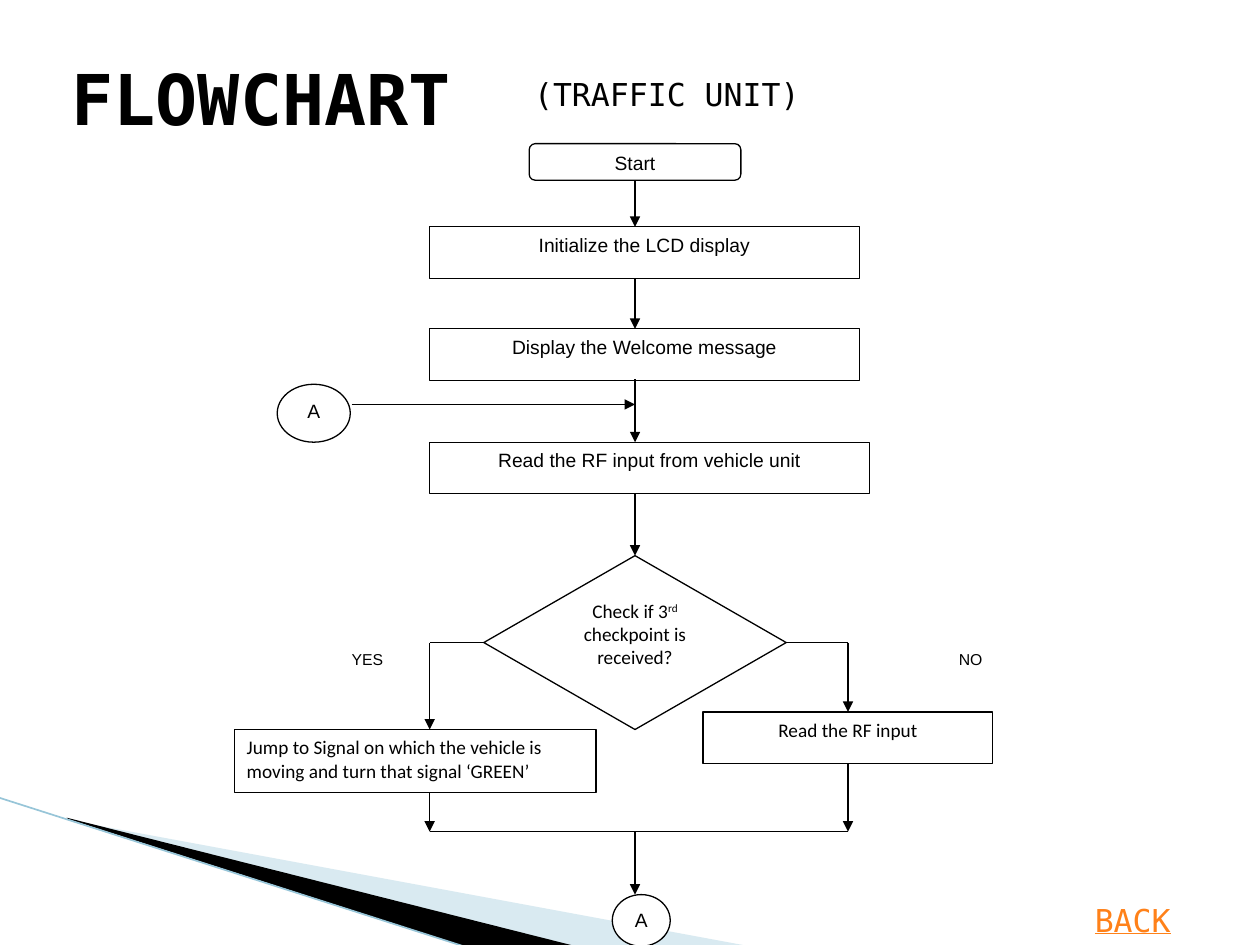
import pptx
import pptx.dml.color
import pptx.enum.shapes
import pptx.enum.text
import pptx.oxml
import pptx.oxml.ns
import pptx.util
from lxml import etree

Inches, Pt = pptx.util.Inches, pptx.util.Pt
SHAPE = pptx.enum.shapes.MSO_SHAPE
ALIGN = pptx.enum.text.PP_ALIGN
qn = pptx.oxml.ns.qn

COLORS = {"ink": "000000", "paper": "FFFFFF", "pale": "A0CBDC",
          "edge": "97C5D8", "link": "FF8119"}
MONO = "DejaVu Sans Mono"
SPINE, YES_X, NO_X = 5.04, 3.41, 6.73
BRANCH_Y, MERGE_Y = 5.1, 6.6

# Corner swoosh: points, colour, opacity in percent
SWOOSHES = [
    ([(0.55, 6.51), (5.95, 7.51), (4.56, 7.51), (0.55, 6.5)], "pale", 40),
    ([(0.53, 6.49), (4.57, 7.51), (3.72, 7.52), (0.54, 6.5)], "ink", 100),
]

# Name: preset, box (left, top, width, height), text, font, alignment
STEPS = {
    "start": (SHAPE.FLOWCHART_ALTERNATE_PROCESS, (4.2, 1.14, 1.68, 0.29),
              "Start", "Arial", ALIGN.CENTER),
    "init": (SHAPE.RECTANGLE, (3.41, 1.8, 3.41, 0.41),
             "Initialize the LCD display", "Arial", ALIGN.CENTER),
    "welcome": (SHAPE.RECTANGLE, (3.41, 2.61, 3.41, 0.41),
                "Display the Welcome message", "Arial", ALIGN.CENTER),
    "loop in": (SHAPE.FLOWCHART_CONNECTOR, (2.2, 3.05, 0.58, 0.46),
                "A", "Arial", ALIGN.CENTER),
    "read": (SHAPE.RECTANGLE, (3.41, 3.51, 3.49, 0.41),
             "Read the RF input from vehicle unit", "Arial", ALIGN.CENTER),
    "check": (SHAPE.DIAMOND, (3.84, 4.41, 2.4, 1.38),
              ("Check if 3", "rd", " checkpoint is received?"), "Calibri", ALIGN.CENTER),
    "jump": (SHAPE.RECTANGLE, (1.86, 5.79, 2.87, 0.5),
             "Jump to Signal on which the vehicle is moving and turn that signal ‘GREEN’",
             "Calibri", ALIGN.LEFT),
    "read again": (SHAPE.RECTANGLE, (5.58, 5.65, 2.3, 0.41),
                   "Read the RF input", "Calibri", ALIGN.CENTER),
    "loop out": (SHAPE.FLOWCHART_CONNECTOR, (4.86, 7.1, 0.46, 0.41),
                 "A", "Arial", ALIGN.CENTER),
}
BRANCH_LABELS = [("YES", 2.79), ("NO", 7.61)]

# From, to, arrowhead, joined start, joined end (step, side)
FLOWS = [
    ((SPINE, 1.43), (SPINE, 1.8), True, ("start", 2), None),
    ((SPINE, 2.21), (SPINE, 2.61), True, None, None),
    ((SPINE, 3.01), (SPINE, 3.51), True, None, None),
    ((2.79, 3.21), (SPINE, 3.21), True, None, None),
    ((SPINE, 3.92), (SPINE, 4.41), True, None, ("check", 0)),
    ((3.84, BRANCH_Y), (YES_X, BRANCH_Y), False, ("check", 1), None),
    ((YES_X, BRANCH_Y), (YES_X, 5.79), True, None, None),
    ((6.24, BRANCH_Y), (NO_X, BRANCH_Y), False, ("check", 3), None),
    ((NO_X, BRANCH_Y), (NO_X, 5.65), True, None, ("read again", 0)),
    ((YES_X, 6.29), (YES_X, MERGE_Y), True, None, None),
    ((NO_X, 6.06), (NO_X, MERGE_Y), True, ("read again", 2), None),
    ((YES_X, MERGE_Y), (NO_X, MERGE_Y), False, None, None),
    ((SPINE, MERGE_Y), (SPINE, 7.1), True, None, None),
]

# Text, box, size, bold, colour, underline
HEADINGS = [
    ("FLOWCHART", (0.47, 0.39, 3.91, 0.77), 40, True, "ink", False),
    ("(TRAFFIC UNIT)", (4.14, 0.55, 3.05, 0.4), 18, False, "ink", False),
    ("BACK", (8.59, 7.1, 1.41, 0.4), 18, False, "link", True),
]


def rgb(name):
    return pptx.dml.color.RGBColor.from_string(COLORS[name])


def inches(values):
    return [Inches(v) for v in values]


def set_font(p, name, size, color="ink"):
    p.font.name, p.font.size = name, Pt(size)
    p.font.color.rgb = rgb(color)


def add_line(slide, start, end, color="ink", width=0.75, arrow=False):
    line = slide.shapes.add_connector(
        pptx.enum.shapes.MSO_CONNECTOR.STRAIGHT, *inches(start + end))
    line.line.color.rgb = rgb(color)
    line.line.width = Pt(width)
    if arrow:
        etree.SubElement(line.line._get_or_add_ln(), qn("a:tailEnd"), type="triangle")
    etree.SubElement(line._element.spPr, qn("a:effectLst"))
    return line


def add_swoosh(slide, points, color, opacity):
    corners = [tuple(inches(pt)) for pt in points]
    builder = slide.shapes.build_freeform(*corners[0])
    builder.add_line_segments(corners[1:], close=True)
    s = builder.convert_to_shape()
    s.shadow.inherit = False
    s.line.fill.background()
    s.fill.solid()
    s.fill.fore_color.rgb = rgb(color)
    if opacity < 100:
        clr = s._element.spPr.find(qn("a:solidFill"))[0]
        etree.SubElement(clr, qn("a:alpha"), val=str(opacity * 1000))


def add_box(slide, preset, box, text, font, align, size=11, outline="ink", inset=True):
    """Add a filled shape; a tuple of texts has its second part raised."""
    s = slide.shapes.add_shape(preset, *inches(box))
    s.shadow.inherit = False
    s.fill.solid()
    s.fill.fore_color.rgb = rgb("paper")
    s.line.color.rgb = rgb(outline)
    s.line.width = Pt(0.75)
    tf = s.text_frame
    tf.word_wrap = True
    tf.vertical_anchor = pptx.enum.text.MSO_ANCHOR.TOP
    if not inset:
        tf.margin_left = tf.margin_top = tf.margin_right = tf.margin_bottom = 0
    p = tf.paragraphs[0]
    p.alignment, p.space_after = align, Pt(10)
    set_font(p, font, size)
    for i, part in enumerate((text,) if isinstance(text, str) else text):
        r = p.add_run()
        r.text = part
        if i == 1:
            r.font._element.set("baseline", "30000")
    return s


def add_heading(slide, text, box, size, bold, color, underline):
    tf = slide.shapes.add_textbox(*inches(box)).text_frame
    tf.word_wrap = True
    tf.auto_size = pptx.enum.text.MSO_AUTO_SIZE.SHAPE_TO_FIT_TEXT
    p = tf.paragraphs[0]
    p.text = text
    set_font(p, MONO, size, color)
    p.font.bold, p.font.underline = bold, underline


def main():
    prs = pptx.Presentation()
    prs.slide_width, prs.slide_height = inches((10, 7.5))
    slide = prs.slides.add_slide(prs.slide_layouts[6])

    for swoosh in SWOOSHES:
        add_swoosh(slide, *swoosh)
    add_line(slide, (-0.01, 6.33), (3.71, 7.52), "edge", 0.95)

    for label, left in BRANCH_LABELS:
        add_box(slide, SHAPE.RECTANGLE, (left, 5.16, 0.36, 0.19), label, "Arial",
                ALIGN.LEFT, size=9, outline="paper", inset=False)
    steps = {name: add_box(slide, *step, inset=name != "check")
             for name, step in STEPS.items()}
    for start, end, arrow, source, target in FLOWS:
        line = add_line(slide, start, end, arrow=arrow)
        if source:
            line.begin_connect(steps[source[0]], source[1])
        if target:
            line.end_connect(steps[target[0]], target[1])

    for heading in HEADINGS:
        add_heading(slide, *heading)
    prs.save("out.pptx")


if __name__ == "__main__":
    main()
